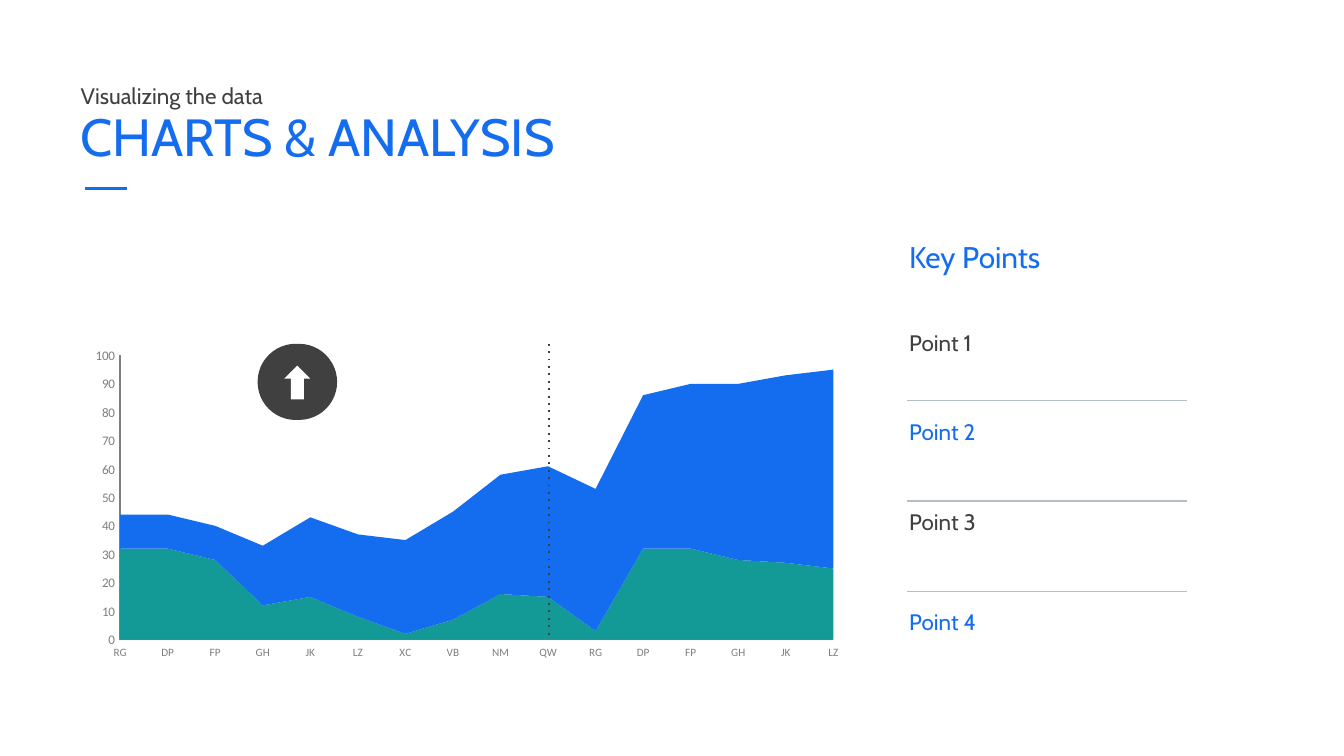
from lxml import etree
from pptx import Presentation
from pptx.chart.data import CategoryChartData
from pptx.dml.color import RGBColor
from pptx.enum.chart import XL_CHART_TYPE, XL_TICK_MARK
from pptx.enum.shapes import MSO_CONNECTOR, MSO_SHAPE
from pptx.enum.text import MSO_ANCHOR, MSO_AUTO_SIZE, PP_ALIGN
from pptx.oxml.ns import qn
from pptx.util import Inches, Pt

AREA = XL_CHART_TYPE.AREA_STACKED
NO_TICK = XL_TICK_MARK.NONE
ROUND = MSO_SHAPE.ROUNDED_RECTANGLE
ARROW = MSO_SHAPE.UP_ARROW
STRAIGHT = MSO_CONNECTOR.STRAIGHT
TOP, MIDDLE = MSO_ANCHOR.TOP, MSO_ANCHOR.MIDDLE
LEFT = PP_ALIGN.LEFT
FIXED = MSO_AUTO_SIZE.NONE

COLS, ROWS = 120, 67.5
CELL = Inches(10) / COLS
FONT = "Cabin"
COLORS = {
    "blue": "136DEE",
    "teal": "139996",
    "dark": "404040",
    "gray": "7F7F7F",
    "rule": "B4BEC5",
    "ink": "17252F",
    "white": "FFFFFF",
}
CATS = "RG DP FP GH JK LZ XC VB NM QW RG DP FP GH JK LZ".split()
SERIES = [
    ("Series 1", "teal", [32, 32, 28, 12, 15, 8, 2, 7, 16, 15, 3, 32, 32, 28, 27, 25]),
    ("Series 2", "blue", [12, 12, 12, 21, 28, 29, 33, 38, 42, 46, 50, 54, 58, 62, 66, 70]),
]
PLOT = {"x": 0.054, "y": 0.22, "w": 0.923, "h": 0.698}
POINTS = [("Point 1", 28.8), ("Point 2", 36.75), ("Point 3", 44.75), ("Point 4", 53.75)]
RULES = [35.75, 44.75, 52.8]


def color(name):
    return RGBColor.from_string(COLORS[name])


def grid(*cells):
    return [round(cell * CELL) for cell in cells]


def write(shape, text, size, tone, anchor=TOP):
    frame = shape.text_frame
    frame.word_wrap = True
    frame.auto_size = FIXED
    frame.vertical_anchor = anchor
    para = frame.paragraphs[0]
    para.alignment = LEFT
    run = para.add_run()
    run.text = text
    run.font.name = FONT
    run.font.size = Pt(size)
    run.font.color.rgb = color(tone)
    return para


def add_text(slide, area, text, size, tone):
    write(slide.shapes.add_textbox(*grid(*area)), text, size, tone)


def fill_holder(holder, area, text, size, tone, anchor):
    holder.left, holder.top, holder.width, holder.height = grid(*area)
    return write(holder, text, size, tone, anchor)


def clear_bullet(para):
    props = para._p.get_or_add_pPr()
    props.set("marL", "0")
    props.set("indent", "0")
    etree.SubElement(props, qn("a:buNone"))
    para.space_before = Pt(0)


def add_line(slide, ends, tone, width, dash=None):
    line = slide.shapes.add_connector(STRAIGHT, *grid(*ends))
    line.line.color.rgb = color(tone)
    line.line.width = Pt(width)
    props = line._element.spPr
    if dash:
        etree.SubElement(props.find(qn("a:ln")), qn("a:prstDash"), val=dash)
    etree.SubElement(props, qn("a:effectLst"))


def add_shape(slide, kind, area, tone):
    shape = slide.shapes.add_shape(kind, *grid(*area))
    shape.shadow.inherit = False
    shape.fill.solid()
    shape.fill.fore_color.rgb = color(tone)
    shape.line.fill.background()
    return shape


def style_axis(axis, size):
    axis.has_major_gridlines = False
    axis.major_tick_mark = NO_TICK
    axis.minor_tick_mark = NO_TICK
    axis.format.line.color.rgb = color("gray")
    font = axis.tick_labels.font
    font.size = Pt(size)
    font.color.rgb = color("gray")


def place_plot(chart):
    plot = chart._chartSpace.chart.plotArea
    old = plot.find(qn("c:layout"))
    if old is not None:
        plot.remove(old)
    layout = etree.Element(qn("c:layout"))
    manual = etree.SubElement(layout, qn("c:manualLayout"))
    etree.SubElement(manual, qn("c:layoutTarget"), val="inner")
    for side in "xy":
        etree.SubElement(manual, qn(f"c:{side}Mode"), val="edge")
    for key, share in PLOT.items():
        etree.SubElement(manual, qn(f"c:{key}"), val=str(share))
    plot.insert(0, layout)
    for cross in plot.iter(qn("c:crossBetween")):
        cross.set("val", "midCat")


def add_chart(slide, area):
    data = CategoryChartData(number_format="0")
    data.categories = CATS
    for name, _, values in SERIES:
        data.add_series(name, values)
    chart = slide.shapes.add_chart(AREA, *grid(*area), data).chart
    chart.has_legend = False
    chart.has_title = False
    chart.font.name = "Calibri"
    chart.font.size = Pt(11)
    chart.font.color.rgb = color("ink")
    chart.plots[0].vary_by_categories = False
    for series, (_, tone, _) in zip(chart.plots[0].series, SERIES):
        series.format.fill.solid()
        series.format.fill.fore_color.rgb = color(tone)
        series.format.line.fill.background()
    style_axis(chart.category_axis, 6)
    style_axis(chart.value_axis, 7)
    chart.value_axis.minimum_scale = 0
    chart.value_axis.maximum_scale = 100
    chart.value_axis.major_unit = 10
    place_plot(chart)


def add_points(slide):
    add_text(slide, (80, 20.75, 33, 6), "Key Points", 16, "blue")
    for step, (text, row) in enumerate(POINTS):
        tone = "blue" if step % 2 else "dark"
        add_text(slide, (80, row, 22, 6), text, 12, tone)
    for row in RULES:
        add_line(slide, (81, row, 106, row), "rule", 0.75)


def main():
    deck = Presentation()
    deck.slide_width, deck.slide_height = grid(COLS, ROWS)
    slide = deck.slides.add_slide(deck.slide_layouts[1])
    title, body = slide.placeholders
    fill_holder(title, (6, 6.5, 108, 11.3), "CHARTS & ANALYSIS", 28, "blue", MIDDLE)
    lead = fill_holder(body, (6, 6.75, 66, 4.2), "Visualizing the data", 12, "dark", TOP)
    clear_bullet(lead)
    add_line(slide, (7.55, 16.8, 11.3, 16.8), "blue", 1.5)
    add_chart(slide, (7, 23.75, 69, 36.35))
    add_line(slide, (49, 30.7, 49, 56.75), "dark", 1, "dot")
    badge = add_shape(slide, ROUND, (23, 30.7, 7.1, 6.8), "dark")
    badge.adjustments[0] = 0.5
    add_shape(slide, ARROW, (25.4, 32.65, 2.3, 3), "white")
    add_points(slide)
    deck.save("out.pptx")


if __name__ == "__main__":
    main()
